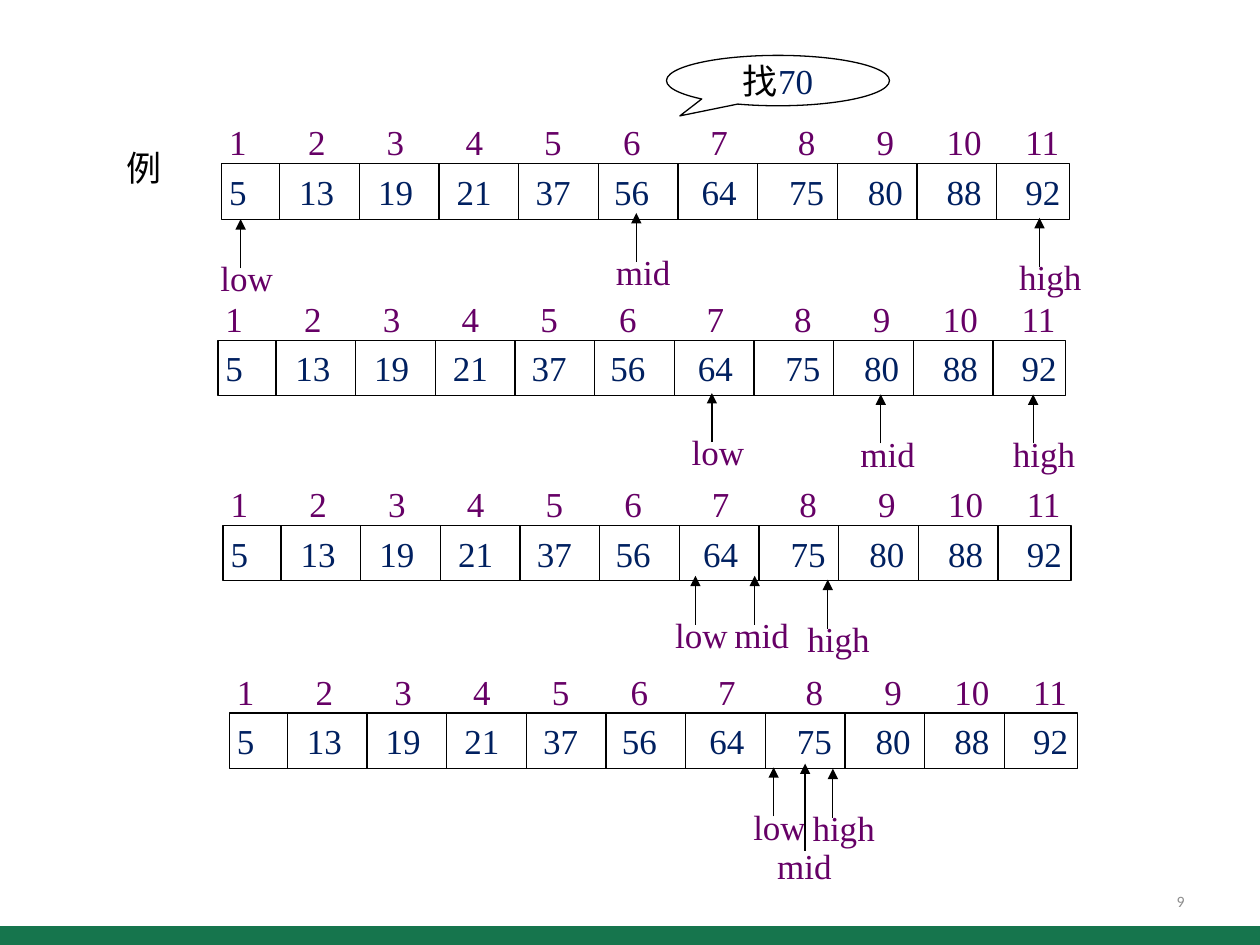
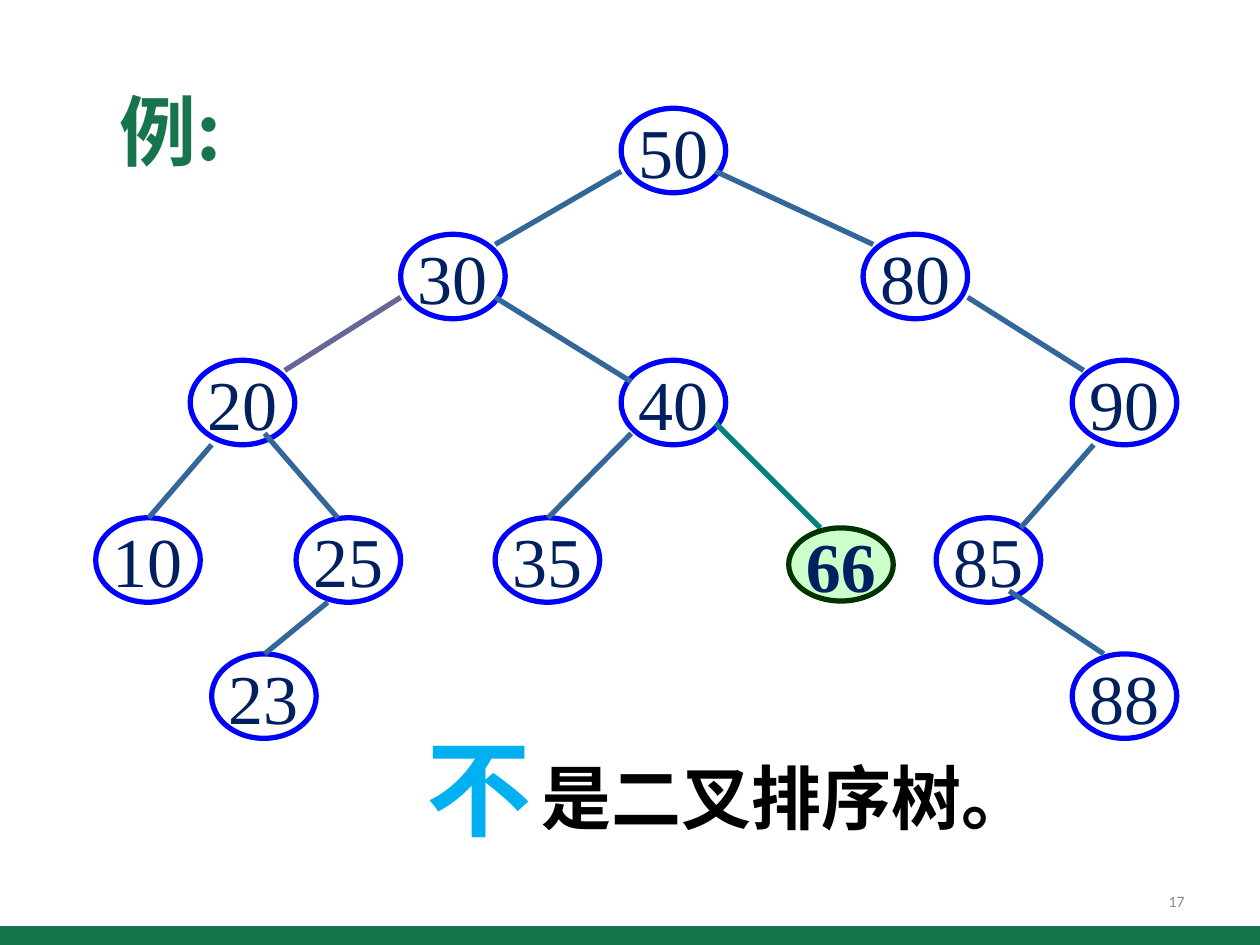
from dataclasses import dataclass
from itertools import accumulate

from lxml import etree
from pptx import Presentation
from pptx.dml.color import RGBColor
from pptx.enum.shapes import MSO_CONNECTOR, MSO_SHAPE
from pptx.enum.text import MSO_ANCHOR, MSO_AUTO_SIZE, PP_ALIGN
from pptx.oxml.ns import qn
from pptx.util import Inches, Pt

BLACK, GREEN, GREY = "000000", "16754D", "8C8C8C"
NAVY, PURPLE, SKY = "002060", "660066", "00B0F0"
NODE_LINE, EDGE, EDGE_VIOLET, EDGE_TEAL = "0000FF", "336699", "666699", "008080"
MINT, DARK_GREEN = "CCFFCC", "003300"
SERIF, CHINESE = "Times New Roman", "Noto Sans CJK SC"


@dataclass
class Style:
    size: float
    font: str
    color: str
    bold: bool = False


VALUE = Style(20, SERIF, NAVY)
LABEL = Style(20, SERIF, PURPLE)
NODE = Style(40, SERIF, NAVY)
NODE_BOLD = Style(40, SERIF, NAVY, True)
SMALL_CHINESE = Style(20, CHINESE, BLACK)
PAGE_NUMBER = Style(9, "Calibri", GREY)


@dataclass
class Pointer:
    """Arrow up to an array cell; x and tip are measured from the array's corner."""
    name: str
    x: float
    tip: float
    length: float = 0.39
    label_shift: tuple = (-0.26, -0.14)


LABEL_WIDTHS = {"low": 0.62, "mid": 0.63, "high": 0.69}
INDEXES = range(1, 12)
VALUES = [5, 13, 19, 21, 37, 56, 64, 75, 80, 88, 92]
# Distances in points from the start of one number to the start of the next
INDEX_STEPS = [45] * 5 + [50, 50, 45, 40, 45]
VALUE_STEPS = [40] + [45] * 4 + [50, 50] + [45] * 3

SEARCH_STEPS = [
    (1.76, 1.3, [Pointer("low", 0.15, 0.44), Pointer("high", 6.49, 0.43),
                 Pointer("mid", 3.29, 0.39)]),
    (1.73, 2.7, [Pointer("low", 3.92, 0.42), Pointer("high", 6.47, 0.43),
                 Pointer("mid", 5.26, 0.43)]),
    (1.77, 4.17, [Pointer("low", 3.75, 0.4), Pointer("high", 4.8, 0.43),
                  Pointer("mid", 4.22, 0.4)]),
    (1.82, 5.66, [Pointer("low", 4.32, 0.43), Pointer("high", 4.79, 0.44),
                  Pointer("mid", 4.57, 0.4, 0.69, (-0.32, -0.1))]),
]

NODE_WIDTH, NODE_HEIGHT = 0.83, 0.67
# Node corners, measured from the corner of the tree
NODES = {
    50: (4.17, 0), 30: (2.42, 1), 80: (6.09, 1),
    20: (0.75, 2), 40: (4.17, 2), 90: (7.75, 2),
    10: (0, 3.25), 25: (1.59, 3.25), 35: (3.17, 3.25), 85: (6.67, 3.25),
    23: (0.92, 4.33), 88: (7.75, 4.33), 66: (5.5, 3.33),
}
# Parent, point on the parent, child, point on the child
EDGES = [
    (50, (0, 0.5), 30, (0.75, 0.08)),
    (30, (0, 0.5), 20, (0.75, 0.08)),
    (50, (0.75, 0.5), 80, (0.08, 0.08)),
    (30, (0.75, 0.5), 40, (0.08, 0.17)),
    (20, (0.17, 0.67), 10, (0.42, 0)),
    (20, (0.59, 0.58), 25, (0.33, 0)),
    (25, (0.25, 0.67), 23, (0.42, 0)),
    (40, (0.08, 0.58), 35, (0.42, 0)),
    (80, (0.83, 0.5), 90, (0.09, 0.08)),
    (90, (0.17, 0.67), 85, (0.67, 0.08)),
    (85, (0.58, 0.58), 88, (0.25, 0)),
    (40, (0.75, 0.5), 66, (0.25, 0)),
]
EDGE_COLORS = {(30, 20): EDGE_VIOLET, (40, 66): EDGE_TEAL}
INSERTED = 66


def rgb(color):
    return RGBColor.from_string(color)


def write(box, pieces, align=PP_ALIGN.LEFT, anchor=MSO_ANCHOR.TOP, wrap=False):
    """Fill a box with one paragraph of (text, style) pieces."""
    frame = box.text_frame
    frame.word_wrap = wrap
    frame.auto_size = MSO_AUTO_SIZE.NONE
    frame.vertical_anchor = anchor
    para = frame.paragraphs[0]
    para.alignment = align
    for text, style in pieces:
        span = para.add_run()
        span.text = text
        font = span.font
        font.size, font.bold, font.name = Pt(style.size), style.bold, style.font
        font.color.rgb = rgb(style.color)
        east_asian = etree.SubElement(span._r.get_or_add_rPr(), qn("a:ea"))
        east_asian.set("typeface", style.font)


def add_text(page, left, top, width, height, text, style, **layout):
    box = page.shapes.add_textbox(Inches(left), Inches(top), Inches(width), Inches(height))
    write(box, [(text, style)], **layout)
    return box


def add_outline(page, kind, left, top, width, height, line=None, weight=0.75, fill=None):
    shape = page.shapes.add_shape(kind, Inches(left), Inches(top), Inches(width), Inches(height))
    shape.shadow.inherit = False
    if fill:
        shape.fill.solid()
        shape.fill.fore_color.rgb = rgb(fill)
    else:
        shape.fill.background()
    if line:
        shape.line.color.rgb = rgb(line)
        shape.line.width = Pt(weight)
    else:
        shape.line.fill.background()
    return shape


def add_line(page, start, end, color=BLACK, weight=0.75, arrow=False):
    line = page.shapes.add_connector(MSO_CONNECTOR.STRAIGHT, *map(Inches, (*start, *end)))
    line.line.color.rgb = rgb(color)
    line.line.width = Pt(weight)
    if arrow:
        etree.SubElement(line.line._get_or_add_ln(), qn("a:tailEnd")).set("type", "triangle")
    etree.SubElement(line._element.spPr, qn("a:effectLst"))


def write_numbers(box, numbers, steps, style, inset):
    """Write numbers in one line, each at its own tab stop."""
    box.text_frame.margin_left = Inches(inset)
    box.text_frame.margin_right = 0
    properties = box.text_frame.paragraphs[0]._p.get_or_add_pPr()
    tabs = etree.SubElement(properties, qn("a:tabLst"))
    for position in accumulate(steps):
        tab = etree.SubElement(tabs, qn("a:tab"))
        tab.set("pos", str(Pt(position)))
        tab.set("algn", "l")
    write(box, [("\t".join(map(str, numbers)), style)], anchor=MSO_ANCHOR.MIDDLE, wrap=True)


def add_master_band(deck, page):
    """Draw the bottom band on a page and hand it to the slide master."""
    band = add_outline(page, MSO_SHAPE.RECTANGLE, 0, 7.35, 10, 0.15, fill=GREEN)
    deck.slide_master.shapes._spTree.insert(2, band._element)


def add_page(deck, number, title, title_box, title_style):
    page = deck.slides.add_slide(deck.slide_layouts[5])
    heading = page.shapes.title
    heading.left, heading.top, heading.width, heading.height = map(Inches, title_box)
    write(heading, [(title, title_style)])
    add_text(page, 7.17, 6.95, 2.33, 0.4, str(number), PAGE_NUMBER,
             align=PP_ALIGN.RIGHT, anchor=MSO_ANCHOR.MIDDLE, wrap=True)
    return page


def add_pointer(page, left, top, pointer):
    x, tip = left + pointer.x, top + pointer.tip
    tail = tip + pointer.length
    add_line(page, (x, tail), (x, tip), arrow=True)
    shift_x, shift_y = pointer.label_shift
    add_text(page, x + shift_x, tail + shift_y, LABEL_WIDTHS[pointer.name], 0.43,
             pointer.name, LABEL)


def add_search_step(page, left, top, pointers):
    """Draw the indexed array with its low, mid and high pointers."""
    width, height = 6.73, 0.44
    indexes = page.shapes.add_textbox(Inches(left), Inches(top - 0.39),
                                      Inches(width), Inches(0.43))
    write_numbers(indexes, INDEXES, INDEX_STEPS, LABEL, 0.06)
    array = add_outline(page, MSO_SHAPE.RECTANGLE, left, top, width, height, BLACK)
    write_numbers(array, VALUES, VALUE_STEPS, VALUE, 0.06)
    first, last = 0.46, 6.15
    for position in range(10):
        x = left + first + (last - first) * position / 9
        add_line(page, (x, top), (x, top + height))
    for pointer in pointers:
        add_pointer(page, left, top, pointer)


def add_callout(page, left, top):
    callout = add_outline(page, MSO_SHAPE.OVAL_CALLOUT, left, top, 1.77, 0.4, BLACK)
    callout.adjustments[0], callout.adjustments[1] = -0.44, 0.7
    write(callout, [("找", SMALL_CHINESE), ("70", VALUE)],
          align=PP_ALIGN.CENTER, anchor=MSO_ANCHOR.MIDDLE)


def add_node(page, left, top, key):
    x, y = NODES[key]
    inserted = key == INSERTED
    node = add_outline(page, MSO_SHAPE.OVAL, left + x, top + y, NODE_WIDTH,
                       0.58 if inserted else NODE_HEIGHT,
                       DARK_GREEN if inserted else NODE_LINE, 3, MINT if inserted else None)
    write(node, [(str(key), NODE_BOLD if inserted else NODE)],
          align=PP_ALIGN.CENTER, anchor=MSO_ANCHOR.MIDDLE)


def add_tree(page, left, top):
    for key in NODES:
        if key != INSERTED:
            add_node(page, left, top, key)
    for parent, start, child, end in EDGES:
        ends = [(left + NODES[key][0] + x, top + NODES[key][1] + y)
                for key, (x, y) in ((parent, start), (child, end))]
        add_line(page, *ends, EDGE_COLORS.get((parent, child), EDGE), 3)
    add_node(page, left, top, INSERTED)


def add_conclusion(page, left, top):
    add_text(page, left + 0.91, top + 0.25, 4.13, 0.77, "是二叉排序树。",
             Style(40, CHINESE, BLACK, True))
    add_text(page, left, top, 1.04, 1.1, "不", Style(60, CHINESE, SKY, True))


def main():
    deck = Presentation()
    deck.slide_width, deck.slide_height = Inches(10), Inches(7.5)

    search = add_page(deck, 9, "例", (0.9, 1.11, 0.55, 0.43), SMALL_CHINESE)
    add_master_band(deck, search)
    for left, top, pointers in SEARCH_STEPS:
        add_search_step(search, left, top, pointers)
    add_callout(search, 5.29, 0.44)

    tree = add_page(deck, 17, "例:", (0.85, 0.61, 1.13, 0.84), Style(44, CHINESE, GREEN, True))
    add_tree(tree, 0.76, 0.86)
    add_conclusion(tree, 3.29, 5.69)

    deck.save("out.pptx")


if __name__ == "__main__":
    main()
